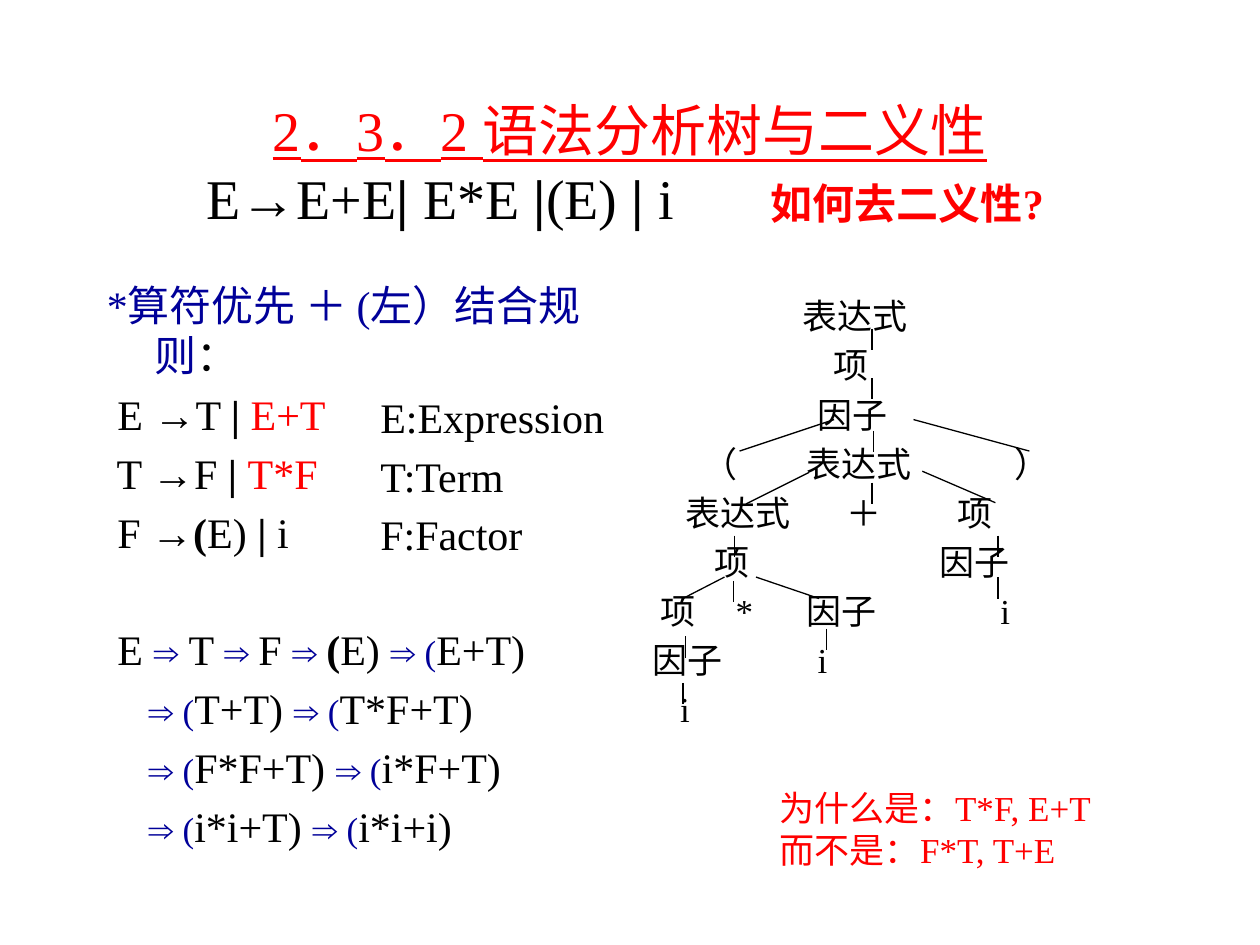
from lxml import etree
from pptx import Presentation, util as u
from pptx.dml.color import RGBColor
from pptx.enum import shapes, text
from pptx.oxml.ns import qn

HUES = {"ink": "000000", "red": "FF0000", "navy": "000099"}
FONT, HAN = "Times New Roman", "Noto Sans CJK SC"

# Run formats, laid over the base format of the page
BOLD = {"bold": True}
RED = {"hue": "red"}
NAVY = {"hue": "navy"}
STEP = {"hue": "navy", "size": 20}
HEAD = {"hue": "red", "underline": True}
DOT = {**HEAD, "name": HAN}
ASK = {"hue": "red", "bold": True}


class Page:
    def __init__(self, deck):
        self.slide = deck.slides.add_slide(deck.slide_layouts[6])
        self.base = {"name": FONT, "hue": "ink"}

    def run(self, para, words, form):
        run = para.add_run()
        run.text = words
        for key, val in {**self.base, **form}.items():
            if key == "hue":
                run.font.color.rgb = RGBColor.from_string(HUES[val])
            else:
                setattr(run.font, key, u.Pt(val) if key == "size" else val)

    def para(self, para, runs, size, gap=0, left=0, hang=0, align="LEFT"):
        para.alignment = getattr(text.PP_ALIGN, align)
        para.space_before = u.Pt(gap)
        props = para._p.get_or_add_pPr()
        props.set("marL", str(u.Inches(left)))
        props.set("indent", str(u.Inches(-hang)))
        for words, form in runs:
            self.run(para, words, {"size": size, **form})

    def box(self, place, paras, size, anchor="TOP"):
        frame = self.slide.shapes.add_textbox(*map(u.Inches, place)).text_frame
        frame.word_wrap = True
        frame.vertical_anchor = getattr(text.MSO_ANCHOR, anchor)
        for num, (runs, form) in enumerate(paras):
            para = frame.add_paragraph() if num else frame.paragraphs[0]
            self.para(para, runs, size, **form)

    def label(self, x, y, wide, words, size, form={}):
        """A single line whose text starts at x."""
        self.box((x - 0.1, y, wide, 0.1 + size / 60), [([(words, form)], {})], size)

    def line(self, *ends):
        line = self.slide.shapes.add_connector(
            shapes.MSO_CONNECTOR.STRAIGHT, *map(u.Inches, ends))
        line.line.color.rgb = RGBColor.from_string(HUES["ink"])
        line.line.width = u.Pt(0.75)
        etree.SubElement(line._element.spPr, qn("a:effectLst"))


def chain(*forms):
    """One line of the derivation: an arrow before each form."""
    return [part for form in forms for part in (("⇒ (", STEP), (form, {}))]


def main():
    deck = Presentation()
    deck.slide_width, deck.slide_height = u.Inches(10), u.Inches(7.5)
    page = Page(deck)

    # Title and the ambiguous grammar
    page.box((0.75, 0.67, 8.5, 1.25), [
        ([("2", HEAD), ("．", DOT), ("3", HEAD), ("．", DOT),
          ("2 语法分析树与二义性", HEAD)], {"align": "CENTER"}),
        ([("E", {}), ("→", BOLD), ("E+E", {}), ("|", BOLD), (" E*E ", {}),
          ("|", BOLD), ("(E) ", {}), ("| ", BOLD), ("i", {})], {"left": 0.79}),
    ], 32, "MIDDLE")
    page.label(6.12, 1.36, 2.8, "如何去二义性?", 24, ASK)

    # Rules and derivation
    rule = {"gap": 4.8}
    more = {"gap": 4.8, "left": 0.33}
    page.box((0.75, 2.17, 4.17, 4.5), [
        ([("*算符优先 ＋ (左）结合规则", NAVY), ("：", {})],
         {"gap": 4.8, "left": 0.38, "hang": 0.38}),
        ([(" E ", {}), ("→", BOLD), ("T ", {}), ("| ", BOLD), ("E+T", RED)], rule),
        ([(" T ", {}), ("→", BOLD), ("F", {}), (" | ", BOLD), ("T*F", RED)], rule),
        ([(" F ", {}), ("→(", BOLD), ("E)", {}), (" | ", BOLD), ("i", {})], rule),
        ([(" E ", {}), ("⇒", STEP), (" T ", {}), ("⇒ ", STEP), ("F ", {}),
          ("⇒ ", STEP), ("(", BOLD), ("E) ", {}), *chain("E+T)")],
         {"gap": 38.4}),
        (chain("T+T) ", "T*F+T)"), more),
        (chain("F*F+T) ", "i*F+T)"), more),
        (chain("i*i+T) ", "i*i+i)"), more),
    ], 24)

    # Meaning of each symbol, beside its rule
    for num, words in enumerate(["E:Expression", "T:Term", "F:Factor"]):
        page.label(3.02, 3.06 + 0.465 * num, 2.1, words, 24)

    # Parse tree: each row holds (offset, node) pairs
    rows = [
        [(1.19, "表达式")],
        [(1.44, "项")],
        [(1.31, "因子")],
        [(0.4, "（"), (1.22, "表达式"), (2.87, "）")],
        [(0.26, "表达式"), (1.54, "＋"), (2.42, "项")],
        [(0.49, "项"), (2.28, "因子")],
        [(0.06, "项"), (0.66, "*"), (1.22, "因子"), (2.76, "i")],
        [(0, "因子"), (1.31, "i")],
        [(0.22, "i")],
    ]
    for num, row in enumerate(rows):
        for left, node in row:
            page.label(5.18 + left, 2.29 + 0.39 * num,
                       0.3 + 0.28 * len(node), node, 20)

    # Upright branches
    for x, y in [(6.92, 2.61), (6.92, 3), (6.93, 3.42), (6.92, 3.83),
                 (5.82, 4.61), (5.83, 4.25), (7.92, 4.25), (6.56, 4.99),
                 (7.92, 4.58), (5.44, 5.05), (5.42, 5.42)]:
        page.line(x, y, x, y + 0.17)

    # Slanted branches
    for ends in [(6.62, 3.33, 5.87, 3.58), (7.25, 3.33, 8.17, 3.58),
                 (6.42, 3.75, 5.92, 4), (7.32, 3.74, 7.9, 3.99),
                 (5.75, 4.58, 5.42, 4.75), (6, 4.58, 6.5, 4.75)]:
        page.line(*ends)

    # Closing question
    page.box((6.09, 6.19, 2.69, 0.77), [
        ([("为什么是：T*F, E+T", RED)], {}),
        ([("而不是：F*T, T+E", RED)], {}),
    ], 20)

    deck.save("out.pptx")


if __name__ == "__main__":
    main()
